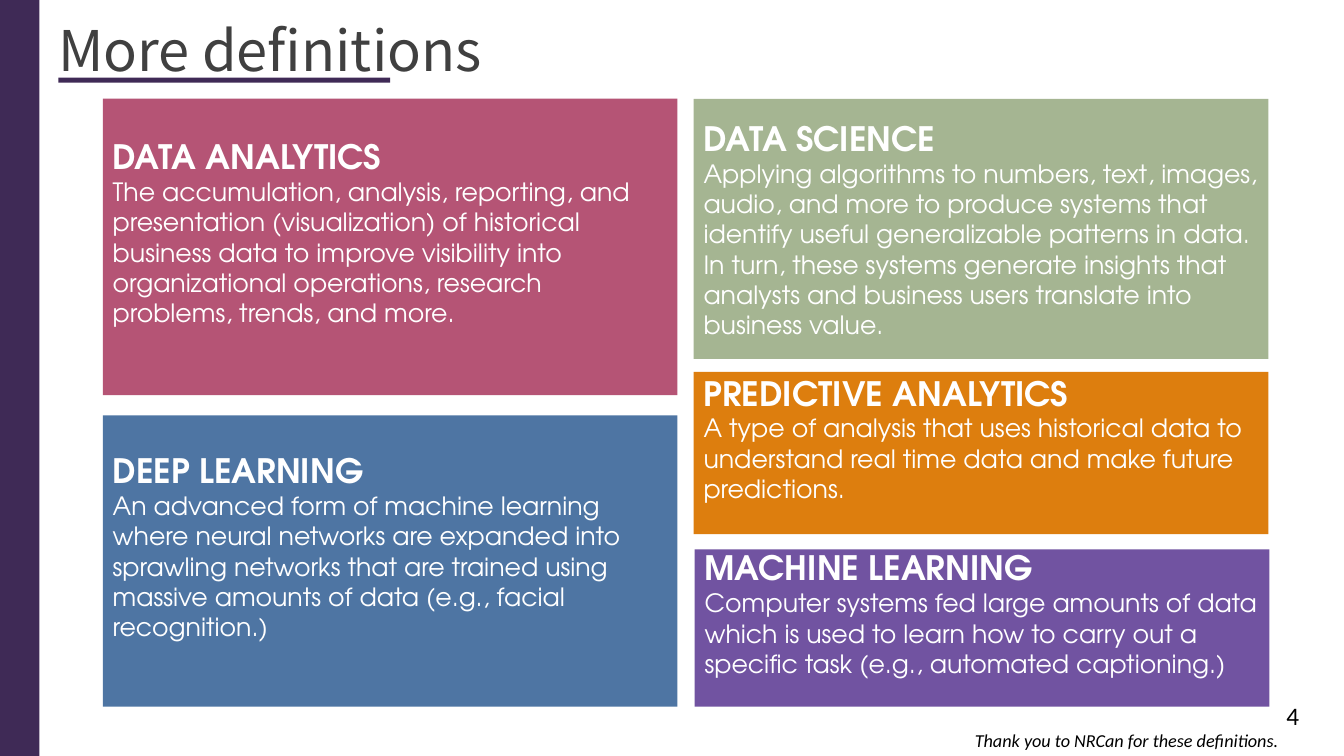
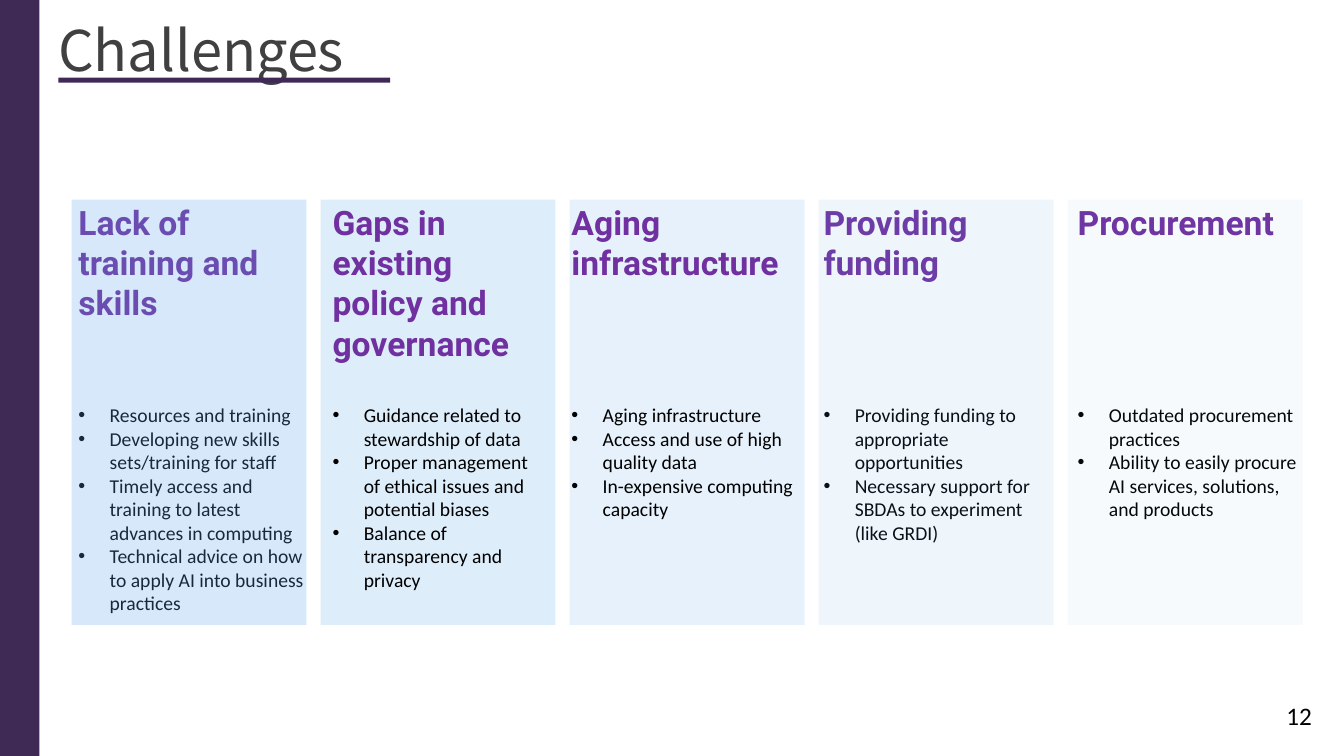
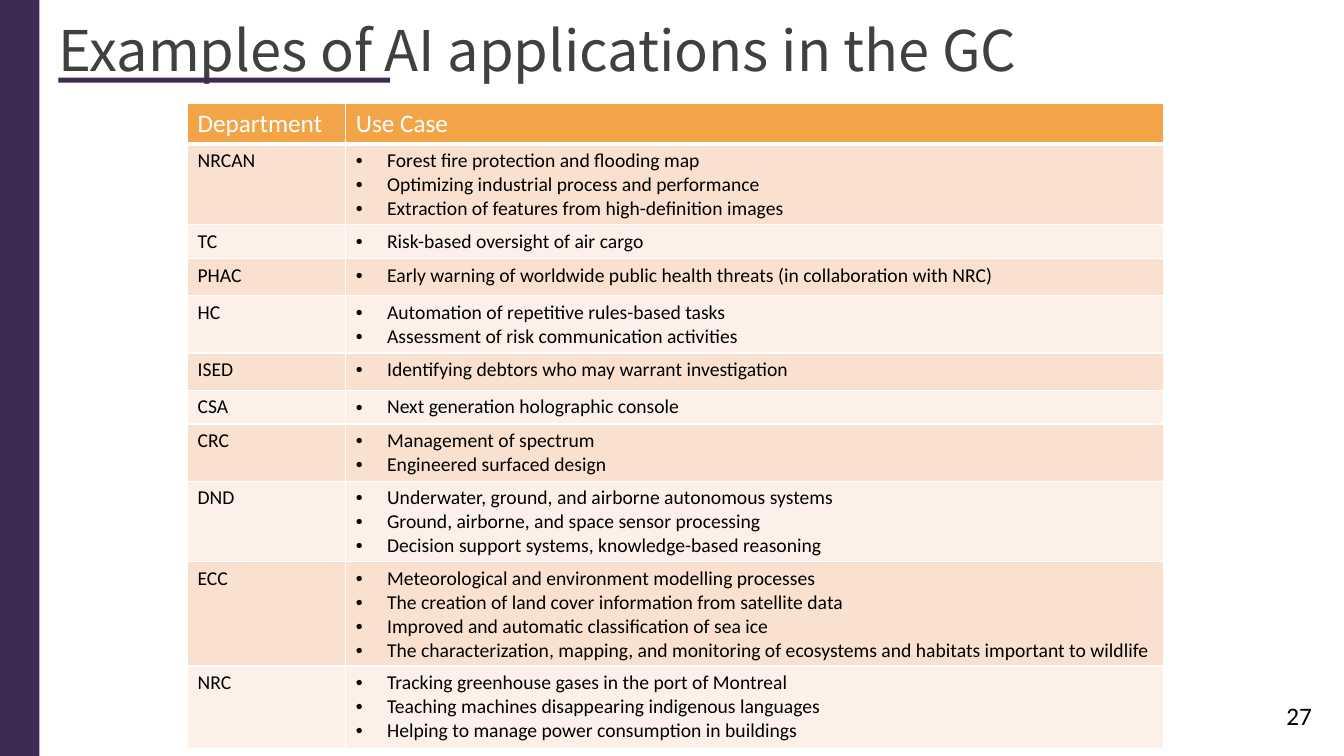
from lxml.etree import SubElement
from pptx import Presentation
from pptx.dml.color import RGBColor
from pptx.enum.shapes import MSO_SHAPE as Shape
from pptx.enum.text import MSO_ANCHOR as Anchor, PP_ALIGN as Align
from pptx.oxml.ns import qn
from pptx.util import Inches, Pt

WHITE = RGBColor(0xFF, 0xFF, 0xFF)
BLACK = RGBColor(0, 0, 0)
DARK_PURPLE = RGBColor(0x3F, 0x2A, 0x56)
TITLE_GREY = RGBColor(0x40, 0x40, 0x40)
HEADING_PURPLE = RGBColor(0x70, 0x30, 0xA0)
PANEL_BLUE = RGBColor(0x5E, 0xA7, 0xEA)
SAGE = RGBColor(0xA5, 0xB5, 0x92)
BLUE = RGBColor(0x4E, 0x75, 0xA3)
VIOLET = RGBColor(0x71, 0x53, 0xA1)
ROSE = RGBColor(0xB5, 0x54, 0x75)
ORANGE = RGBColor(0xDD, 0x7E, 0x0E)
HEADER_ORANGE = RGBColor(0xF3, 0xA4, 0x47)
BANDS = [RGBColor(0xFA, 0xE0, 0xCF), RGBColor(0xFD, 0xF0, 0xE9)]

TITLE = dict(name="Noto Sans CJK JP", size=Pt(40))
TERM = dict(name="TeX Gyre Adventor", size=Pt(24), bold=True)
MEANING = dict(name="TeX Gyre Adventor", size=Pt(18), bold=False)
CHALLENGE = dict(name="Roboto", size=Pt(24), bold=True)
BODY = dict(name="Calibri", size=Pt(14), bold=False)
LARGE = dict(name="Calibri", size=Pt(18), bold=False)
CREDIT = dict(name="Calibri", size=Pt(13), italic=True)

# Term, meaning, colour, (left, top, width, height), bottom inset
DEFINITIONS = [
    ("DATA ANALYTICS",
     "The accumulation, analysis, reporting, and presentation (visualization) of historical "
     "business data to improve visibility into organizational operations, research problems, "
     "trends, and more.",
     ROSE, (1.02, 0.98, 5.7, 2.94), 0.35),
    ("DEEP LEARNING",
     "An advanced form of machine learning where neural networks are expanded into sprawling "
     "networks that are trained using massive amounts of data (e.g., facial recognition.)",
     BLUE, (1.02, 4.12, 5.7, 2.89), 0.35),
    ("DATA SCIENCE",
     "Applying algorithms to numbers, text, images, audio, and more to produce systems that "
     "identify useful generalizable patterns in data. In turn, these systems generate insights "
     "that analysts and business users translate into business value.",
     SAGE, (6.88, 0.98, 5.7, 2.58), 0.05),
    ("PREDICTIVE ANALYTICS",
     "A type of analysis that uses historical data to understand real time data and make "
     "future predictions.",
     ORANGE, (6.88, 3.69, 5.7, 1.61), 0.35),
    ("MACHINE LEARNING",
     "Computer systems fed large amounts of data which is used to learn how to carry out a "
     "specific task (e.g., automated captioning.)",
     VIOLET, (6.89, 5.45, 5.7, 1.56), 0.35),
]

# Heading, points, text left, text width, whether the tint lies over the text
CHALLENGES = [
    ("Lack of training and skills",
     ["Resources and training",
      "Developing new skills sets/training for staff",
      "Timely access and training to latest advances in computing",
      "Technical advice on how to apply AI into business practices"], 0.68, 2.53, True),
    ("Gaps in existing policy and governance",
     ["Guidance related to stewardship of data",
      "Proper management of ethical issues and potential biases",
      "Balance of transparency and privacy"], 3.2, 2.34, False),
    ("Aging infrastructure",
     ["Aging infrastructure",
      "Access and use of high quality data",
      "In-expensive computing capacity"], 5.57, 2.5, False),
    ("Providing funding",
     ["Providing funding to appropriate opportunities",
      "Necessary support for SBDAs to experiment (like GRDI)"], 8.07, 2.53, True),
    ("Procurement",
     ["Outdated procurement practices",
      "Ability to easily procure AI services, solutions, and products"], 10.59, 2.5, True),
]

# Department, use cases, row height
USE_CASES = [
    ("NRCAN", ["Forest fire protection and flooding map",
               "Optimizing industrial process and performance",
               "Extraction of features from high-definition images"], 0.78),
    ("TC", ["Risk-based oversight of air cargo"], 0.32),
    ("PHAC", ["Early warning of worldwide public health threats (in collaboration with NRC)"],
     0.37),
    ("HC", ["Automation of repetitive rules-based tasks",
            "Assessment of risk communication activities"], 0.55),
    ("ISED", ["Identifying debtors who may warrant investigation"], 0.37),
    ("CSA", ["Next generation holographic console"], 0.32),
    ("CRC", ["Management of spectrum", "Engineered surfaced design"], 0.55),
    ("DND", ["Underwater, ground, and airborne autonomous systems",
             "Ground, airborne, and space sensor processing",
             "Decision support systems, knowledge-based reasoning"], 0.78),
    ("ECC", ["Meteorological and environment modelling processes",
             "The creation of land cover information from satellite data",
             "Improved and automatic classification of sea ice",
             "The characterization, mapping, and monitoring of ecosystems and habitats "
             "important to wildlife"], 1.01),
    ("NRC", ["Tracking greenhouse gases in the port of Montreal",
             "Teaching machines disappearing indigenous languages",
             "Helping to manage power consumption in buildings"], 0.82),
]
HEADER_HEIGHT = 0.39
COLUMN_WIDTHS = [1.57, 8.11]


def write(frame, lines, color, bulleted=False):
    """Fill a text frame with (text, font style) lines."""
    for index, (text, style) in enumerate(lines):
        paragraph = frame.paragraphs[0] if index == 0 else frame.add_paragraph()
        paragraph.alignment = Align.LEFT
        if bulleted:
            properties = paragraph._p.get_or_add_pPr()
            properties.set("marL", str(Inches(0.31)))
            properties.set("indent", str(-Inches(0.31)))
            SubElement(properties, qn("a:buFont")).set("typeface", "Arial")
            SubElement(properties, qn("a:buChar")).set("char", "•")
        run = paragraph.add_run()
        run.text = text
        for key, value in style.items():
            setattr(run.font, key, value)
        run.font.color.rgb = color


def add_text(slide, box, lines, color, bulleted=False, wrap=True):
    frame = slide.shapes.add_textbox(*map(Inches, box)).text_frame
    frame.word_wrap = wrap
    write(frame, lines, color, bulleted)


def add_block(slide, box, color, opacity=100):
    block = slide.shapes.add_shape(Shape.RECTANGLE, *map(Inches, box))
    block.shadow.inherit = False
    block.line.fill.background()
    block.fill.solid()
    block.fill.fore_color.rgb = color
    if opacity < 100:
        tint = block.element.spPr.find(qn("a:solidFill")).find(qn("a:srgbClr"))
        SubElement(tint, qn("a:alpha")).set("val", str(opacity * 1000))
    return block


def new_slide(deck, title, number):
    """Add a slide with the shared side band, underlined title and page number."""
    slide = deck.slides.add_slide(deck.slide_layouts[6])
    add_text(slide, (0.48, 0.11, 12.13, 0.77), [(title, TITLE)], TITLE_GREY)
    add_block(slide, (0, 0, 0.39, 7.5), DARK_PURPLE)
    add_block(slide, (0.58, 0.77, 3.29, 0.05), DARK_PURPLE)
    add_text(slide, (12.66, 6.9, 0.9, 0.4), [(str(number), LARGE)], BLACK)
    return slide


def build_definitions(deck):
    slide = new_slide(deck, "More definitions", 4)
    for term, meaning, color, box, bottom_inset in DEFINITIONS:
        frame = add_block(slide, box, color).text_frame
        frame.word_wrap = True
        frame.vertical_anchor = Anchor.MIDDLE
        frame.margin_bottom = Inches(bottom_inset)
        write(frame, [(term, TERM), (meaning, MEANING)], WHITE)
    add_text(slide, (9.57, 7.19, 3.25, 0.32),
             [("Thank you to NRCan for these definitions.", CREDIT)], BLACK, wrap=False)


def build_challenges(deck):
    slide = new_slide(deck, "Challenges", 12)
    for index, (heading, points, left, width, tint_over) in enumerate(CHALLENGES):
        panel = ((0.71 + 2.47 * index, 1.98, 2.33, 4.22), PANEL_BLUE, 25 - 5 * index)
        if not tint_over:
            add_block(slide, *panel)
        add_text(slide, (left, 1.95, width, 1.7), [(heading, CHALLENGE)], HEADING_PURPLE)
        add_text(slide, (left, 3.95, width, 2.2), [(point, BODY) for point in points],
                 BLACK, bulleted=True)
        if tint_over:
            add_block(slide, *panel)


def format_cell(cell, fill, bottom_width=1):
    """Give a cell white borders and a solid fill."""
    properties = cell._tc.get_or_add_tcPr()
    for side, width in dict(L=1, R=1, T=1, B=bottom_width).items():
        border = SubElement(properties, qn(f"a:ln{side}"), w=str(Pt(width)))
        paint = SubElement(border, qn("a:solidFill"))
        SubElement(paint, qn("a:srgbClr")).set("val", str(WHITE))
    cell.fill.solid()
    cell.fill.fore_color.rgb = fill


def build_use_cases(deck):
    slide = new_slide(deck, "Examples of AI applications in the GC", 27)
    heights = [HEADER_HEIGHT] + [height for _, _, height in USE_CASES]
    box = (1.86, 1.03, sum(COLUMN_WIDTHS), sum(heights))
    table = slide.shapes.add_table(len(heights), len(COLUMN_WIDTHS), *map(Inches, box)).table
    for column, width in zip(table.columns, COLUMN_WIDTHS):
        column.width = Inches(width)
    for row, height in zip(table.rows, heights):
        row.height = Inches(height)

    for column, label in enumerate(["Department", "Use Case"]):
        cell = table.cell(0, column)
        format_cell(cell, HEADER_ORANGE, bottom_width=3)
        write(cell.text_frame, [(label, LARGE)], WHITE)
    for row, (department, cases, _) in enumerate(USE_CASES, start=1):
        for column, lines in enumerate([[department], cases]):
            cell = table.cell(row, column)
            format_cell(cell, BANDS[(row - 1) % 2])
            write(cell.text_frame, [(line, BODY) for line in lines], BLACK,
                  bulleted=column == 1)


def main():
    deck = Presentation()
    deck.slide_width, deck.slide_height = Inches(13.33), Inches(7.5)
    build_definitions(deck)
    build_challenges(deck)
    build_use_cases(deck)
    deck.save("out.pptx")


if __name__ == "__main__":
    main()
